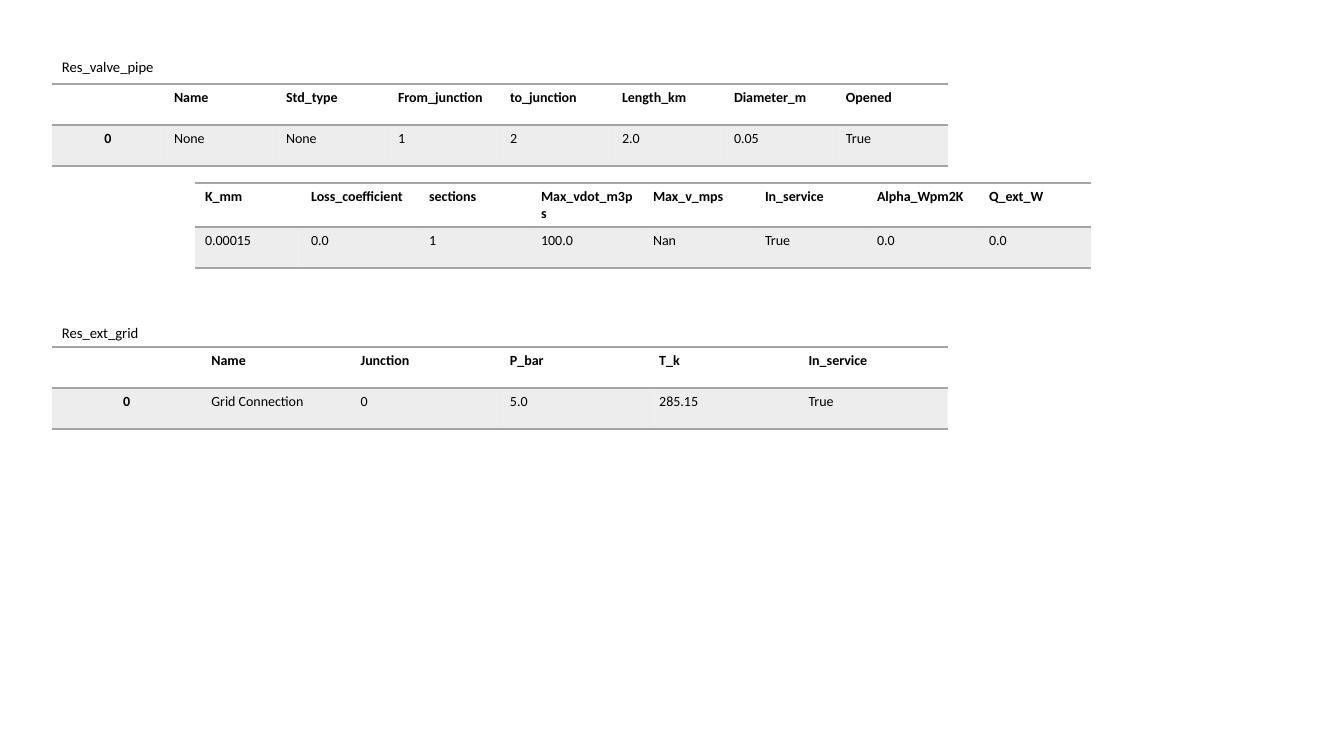
from lxml.etree import SubElement
from pptx import Presentation
from pptx.dml.color import RGBColor
from pptx.enum.text import PP_ALIGN
from pptx.oxml.ns import qn
from pptx.util import Emu, Pt

EMU_PER_PX = 914400 / 100.8
COLORS = {"text": "000000", "rule": "A5A5A5", "band": "A5A5A5"}
BAND_ALPHA = "20000"
TABLE_WIDTH = 896
ROW_HEIGHT = 41
LEFT = 52


def px(length):
    """Turn slide pixels into EMU."""
    return Emu(round(length * EMU_PER_PX))


def write(paragraph, text, size, bold=False):
    """Add one formatted run to a paragraph."""
    run = paragraph.add_run()
    run.text = text
    formats = {"name": "Calibri", "size": Pt(size), "bold": bold}
    for attribute, value in formats.items():
        setattr(run.font, attribute, value)
    run.font.color.rgb = RGBColor.from_string(COLORS["text"])


def add_caption(slide, top, text):
    """Place the name of a result table above it."""
    caption = slide.shapes.add_textbox(px(LEFT), px(top), px(143), px(29))
    caption.text_frame.word_wrap = True
    write(caption.text_frame.paragraphs[0], text, 10.5)


def rule_cell(cell):
    """Draw grey rules above and below a cell, and none at its sides."""
    properties = cell._tc.get_or_add_tcPr()
    for position, side in enumerate(("lnL", "lnR", "lnT", "lnB")):
        line = SubElement(properties, qn(f"a:{side}"), w=str(Pt(1)))
        properties.insert(position, line)
        if side in ("lnT", "lnB"):
            fill = SubElement(line, qn("a:solidFill"))
            SubElement(fill, qn("a:srgbClr"), val=COLORS["rule"])
        else:
            SubElement(line, qn("a:noFill"))


def shade_cell(cell):
    """Give a value cell its translucent grey band."""
    cell.fill.solid()
    cell.fill.fore_color.rgb = RGBColor.from_string(COLORS["band"])
    color = cell._tc.tcPr.find(".//" + qn("a:srgbClr"))
    SubElement(color, qn("a:alpha"), val=BAND_ALPHA)


def add_result_table(slide, left, top, headers, values, widths=None):
    """Add a header row and a value row; columns are equal unless given."""
    count = len(headers)
    widths = widths or [TABLE_WIDTH / count] * count
    table = slide.shapes.add_table(2, count, px(left), px(top),
                                   px(TABLE_WIDTH), px(2 * ROW_HEIGHT)).table
    for column, width in zip(table.columns, widths):
        column.width = px(width)
    for row_index, texts in enumerate((headers, values)):
        table.rows[row_index].height = px(ROW_HEIGHT)
        for column_index, text in enumerate(texts):
            cell = table.cell(row_index, column_index)
            is_header = row_index == 0
            is_index = column_index == 0 and not headers[0]
            if is_header:
                cell.fill.background()
            else:
                shade_cell(cell)
            rule_cell(cell)
            paragraph = cell.text_frame.paragraphs[0]
            if is_index:
                paragraph.alignment = PP_ALIGN.CENTER
            if text:
                write(paragraph, text, 10, bold=is_header or is_index)


def main():
    """Build the slide with the valve pipe and external grid results."""
    presentation = Presentation()
    presentation.slide_width, presentation.slide_height = px(1344), px(756)
    slide = presentation.slides.add_slide(presentation.slide_layouts[6])

    add_result_table(
        slide, LEFT, 84,
        ["", "Name", "Std_type", "From_junction", "to_junction",
         "Length_km", "Diameter_m", "Opened"],
        ["0", "None", "None", "1", "2", "2.0", "0.05", "True"])
    add_result_table(
        slide, 195, 183,
        ["K_mm", "Loss_coefficient", "sections", "Max_vdot_m3ps",
         "Max_v_mps", "In_service", "Alpha_Wpm2K", "Q_ext_W"],
        ["0.00015", "0.0", "1", "100.0", "Nan", "True", "0.0", "0.0"],
        widths=[106, 118] + [112] * 6)
    add_caption(slide, 53, "Res_valve_pipe")

    add_result_table(
        slide, LEFT, 347,
        ["", "Name", "Junction", "P_bar", "T_k", "In_service"],
        ["0", "Grid Connection", "0", "5.0", "285.15", "True"])
    add_caption(slide, 319, "Res_ext_grid")

    presentation.save("out.pptx")


main()
